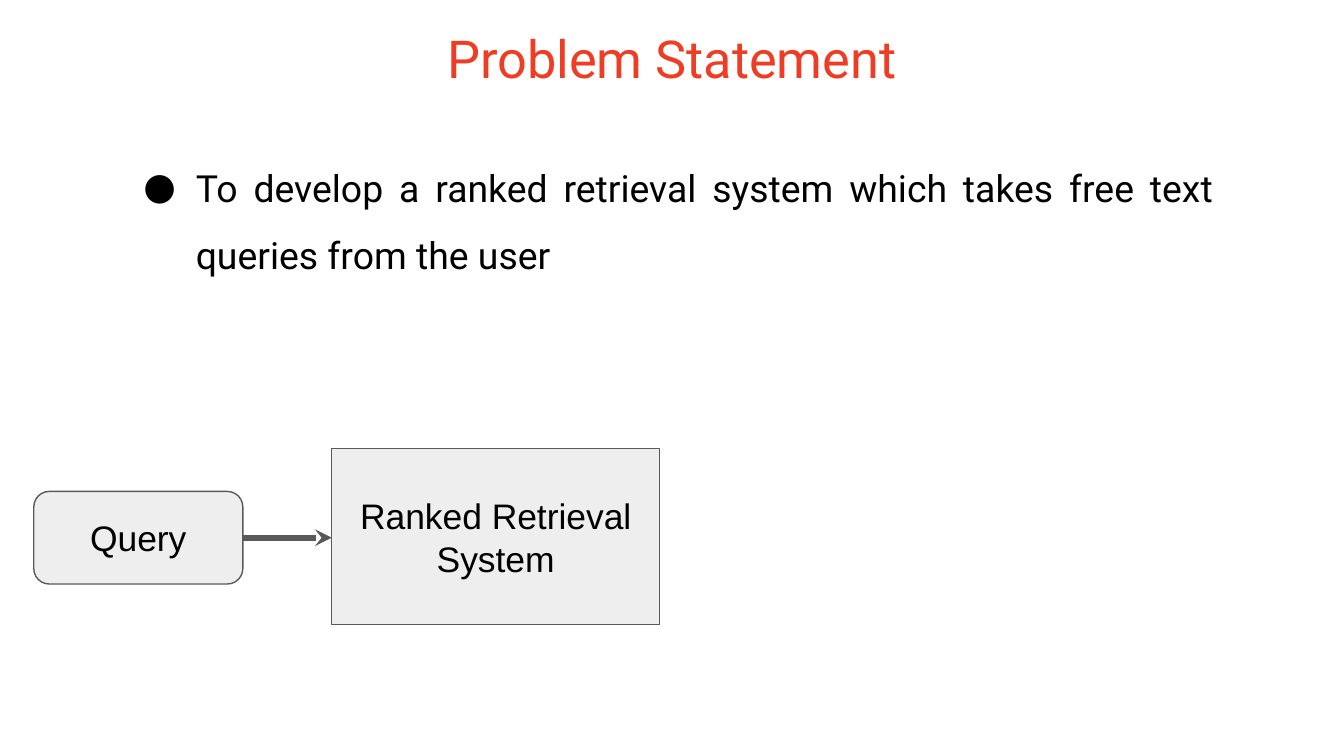
"""Build the problem statement slide with a query flow diagram."""
from lxml import etree
from pptx import Presentation
from pptx import util as u
from pptx.dml.color import RGBColor
from pptx.enum import shapes, text
from pptx.oxml.ns import qn

TITLE = "Problem Statement"
GOALS = ["To develop a ranked retrieval system which takes free text queries from the user"]
TITLE_BOX = (1.47, 0.28, 22.45, 1.75)
GOALS_BOX = (2.18, 2.44, 21.01, 5.31)
STEPS = [
    ("Query", shapes.MSO_SHAPE.ROUNDED_RECTANGLE, (0.64, 9.29, 3.95, 1.75)),
    ("Ranked Retrieval System", shapes.MSO_SHAPE.RECTANGLE, (6.27, 8.48, 6.2, 3.33)),
]
THEME = {
    "title": ("Roboto", 28, "EE3D24"),
    "body": ("Roboto", 20, "000000"),
    "step": ("Arial", 19, "000000"),
    "fill": "EEEEEE",
    "line": "595959",
    "outline": 0.75,
    "arrow": 3,
    "inset": 0.25,
}


def color(name):
    return RGBColor.from_string(THEME[name])


def place(shape, box):
    shape.left, shape.top, shape.width, shape.height = map(u.Cm, box)


def format_text(shape, style, align, anchor, spacing):
    font_name, size, ink = THEME[style]
    frame = shape.text_frame
    frame.word_wrap = True
    frame.auto_size = text.MSO_AUTO_SIZE.NONE
    frame.vertical_anchor = anchor
    frame.margin_left = frame.margin_right = u.Cm(THEME["inset"])
    frame.margin_top = frame.margin_bottom = u.Cm(THEME["inset"])
    for paragraph in frame.paragraphs:
        paragraph.alignment = align
        paragraph.line_spacing = spacing
        paragraph.space_before = paragraph.space_after = u.Pt(0)
        for run in paragraph.runs:
            run.font.name = font_name
            run.font.size = u.Pt(size)
            run.font.color.rgb = RGBColor.from_string(ink)


def add_bullet(paragraph):
    properties = paragraph._p.get_or_add_pPr()
    properties.set("marL", str(u.Cm(1.27)))
    properties.set("indent", str(u.Cm(-0.99)))
    bullet_color = etree.SubElement(properties, qn("a:buClr"))
    etree.SubElement(bullet_color, qn("a:srgbClr"), val=THEME["body"][2])
    etree.SubElement(properties, qn("a:buFont"), typeface=THEME["body"][0])
    etree.SubElement(properties, qn("a:buChar"), char="●")


def add_step(slide, label, kind, box):
    shape = slide.shapes.add_shape(kind, *map(u.Cm, box))
    shape.shadow.inherit = False
    shape.fill.solid()
    shape.fill.fore_color.rgb = color("fill")
    shape.line.color.rgb = color("line")
    shape.line.width = u.Pt(THEME["outline"])
    shape.text_frame.text = label
    format_text(shape, "step", text.PP_ALIGN.CENTER, text.MSO_ANCHOR.MIDDLE, 1.0)
    return shape


def add_arrow(slide, source, target):
    middle = source.top + source.height // 2
    arrow = slide.shapes.add_connector(
        shapes.MSO_CONNECTOR.STRAIGHT, source.left + source.width, middle, target.left, middle
    )
    arrow.line.color.rgb = color("line")
    arrow.line.width = u.Pt(THEME["arrow"])
    etree.SubElement(arrow.line._get_or_add_ln(), qn("a:tailEnd"), type="stealth")
    etree.SubElement(arrow._element.spPr, qn("a:effectLst"))


def main():
    presentation = Presentation()
    presentation.slide_width, presentation.slide_height = u.Cm(25.4), u.Cm(14.29)
    slide = presentation.slides.add_slide(presentation.slide_layouts[1])

    title, body = slide.placeholders
    place(title, TITLE_BOX)
    title.text_frame.text = TITLE
    format_text(title, "title", text.PP_ALIGN.CENTER, text.MSO_ANCHOR.MIDDLE, 0.9)

    place(body, GOALS_BOX)
    body.text_frame.text = "\n".join(GOALS)
    format_text(body, "body", text.PP_ALIGN.JUSTIFY, text.MSO_ANCHOR.TOP, 1.5)
    for paragraph in body.text_frame.paragraphs:
        add_bullet(paragraph)

    steps = [add_step(slide, *step) for step in STEPS]
    for source, target in zip(steps, steps[1:]):
        add_arrow(slide, source, target)

    presentation.save("out.pptx")


if __name__ == "__main__":
    main()
